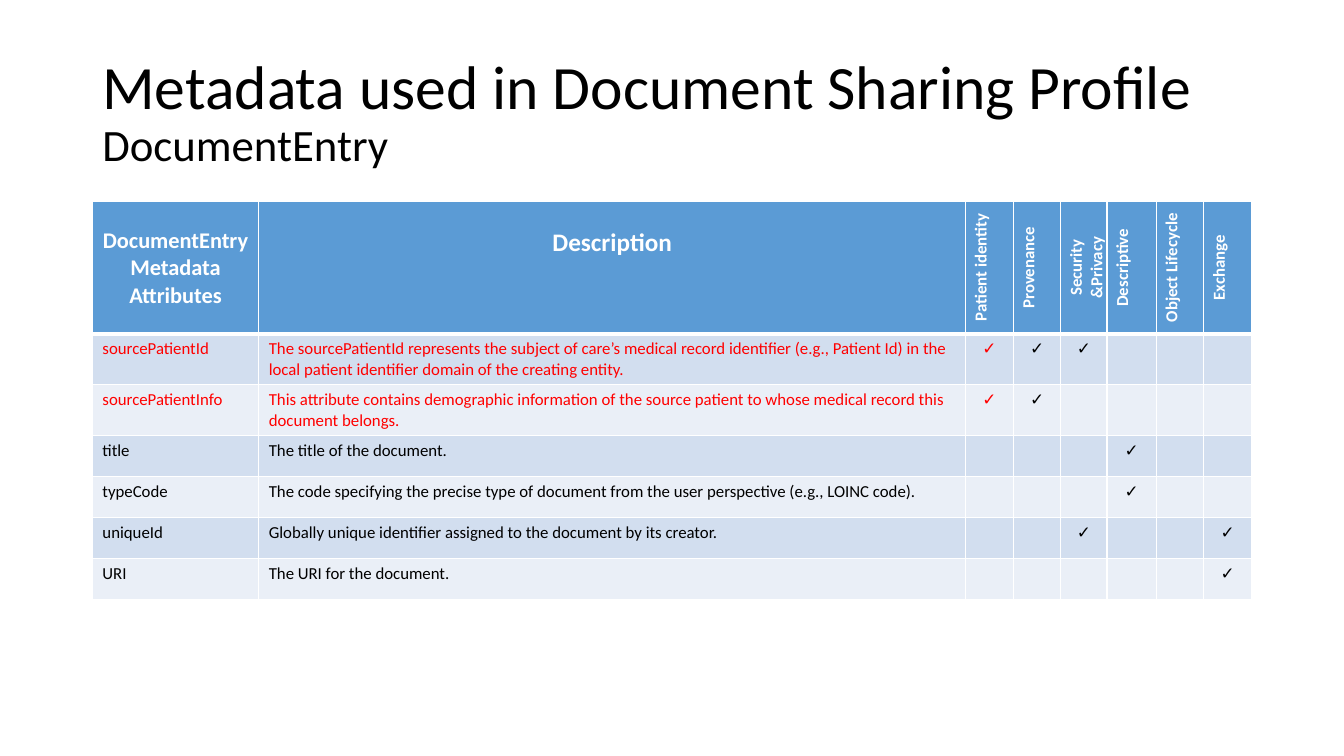
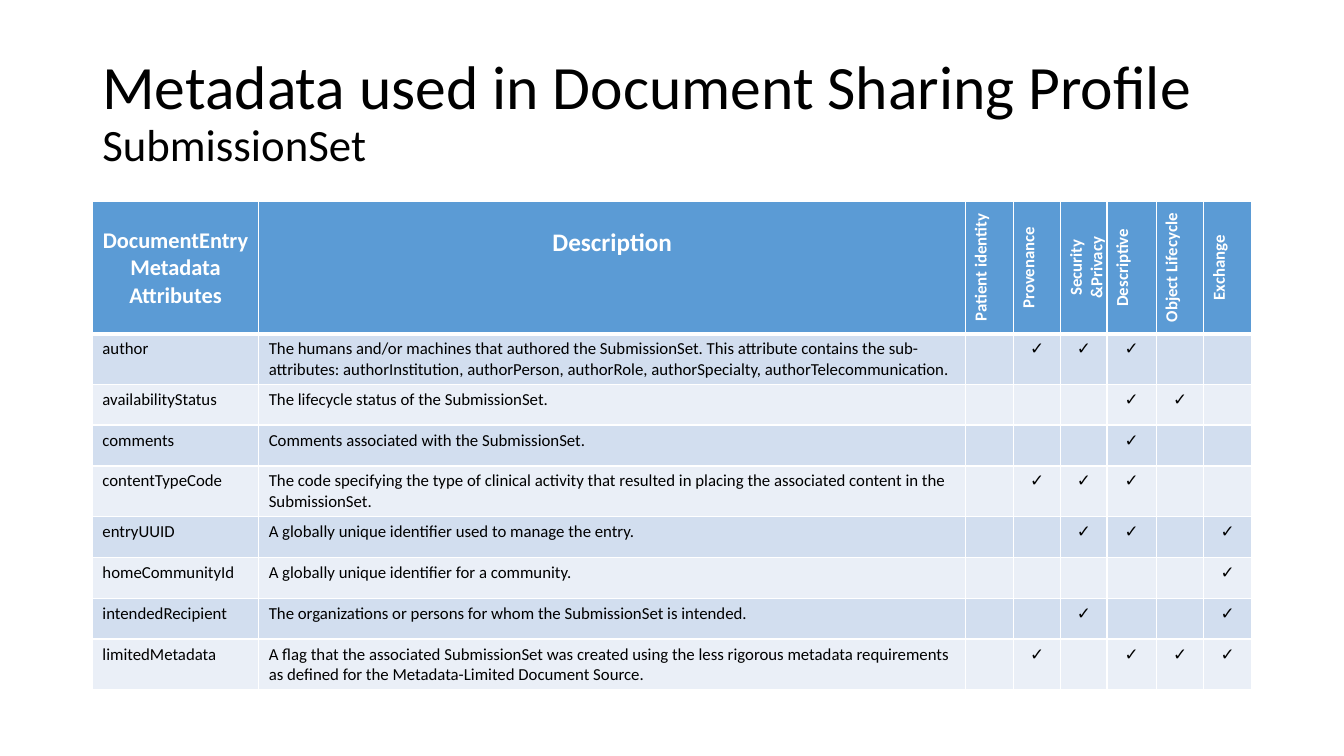
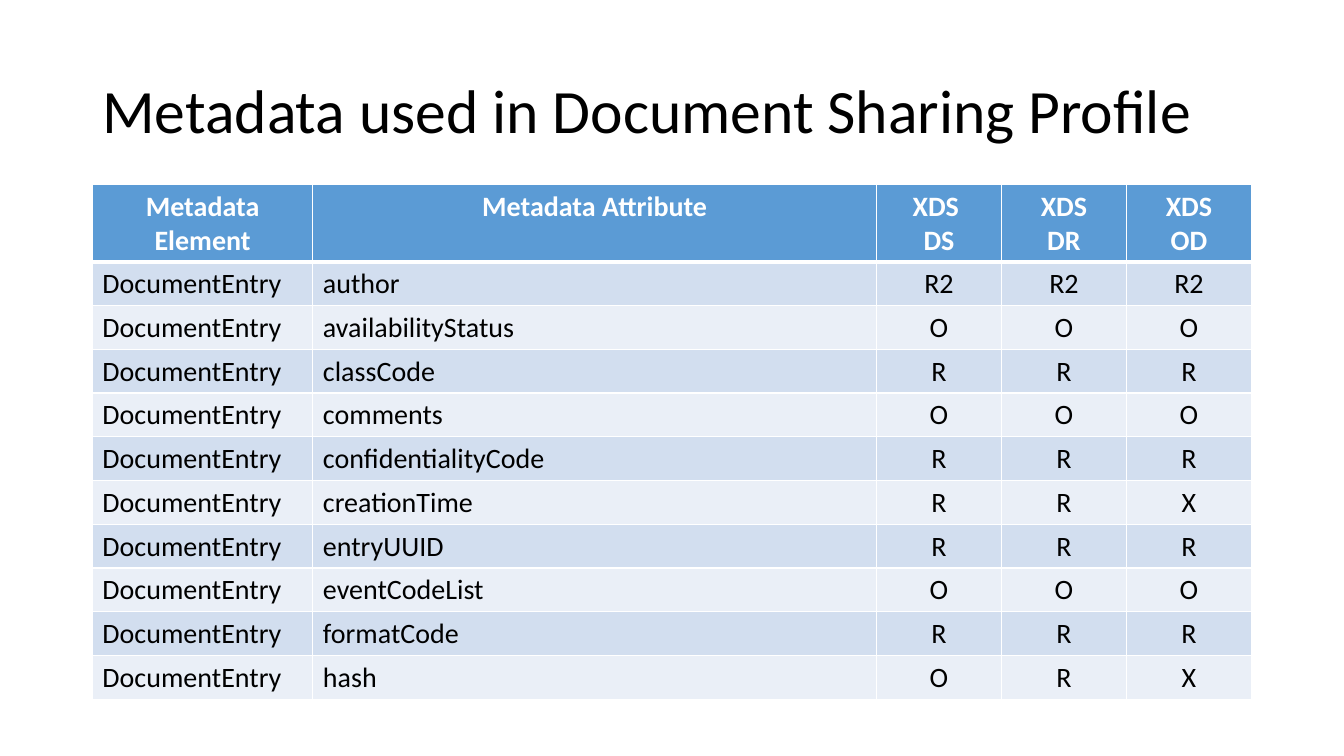
from dataclasses import dataclass

from lxml.etree import SubElement
from pptx import Presentation
from pptx.dml.color import RGBColor
from pptx.enum.text import MSO_ANCHOR, PP_ALIGN
from pptx.oxml.ns import qn
from pptx.slide import Slide
from pptx.table import _Cell
from pptx.text.text import _Paragraph
from pptx.util import Pt


@dataclass(frozen=True)
class Theme:
    font: str = "Calibri"
    black: str = "000000"
    white: str = "FFFFFF"
    red: str = "FF0000"
    header: str = "5B9BD5"
    bands: tuple[str, str] = ("D2DEEF", "EAEFF7")
    title: float = 44
    subtitle: float = 32
    description: float = 18
    name: float = 16
    detail: float = 12
    matrix: float = 20


@dataclass(frozen=True)
class Heading:
    text: str
    size: float
    top: float = 3.6
    vertical: bool = False


@dataclass(frozen=True)
class Attribute:
    name: str
    description: str
    uses: str  # one digit per category, 1 = used
    red_cells: int = 0

    def texts(self) -> list[str]:
        return [self.name, self.description] + ["✓" if use == "1" else "" for use in self.uses]


@dataclass(frozen=True)
class Grid:
    top: float
    widths: list[float]
    header_height: float
    headings: list[Heading]
    size: float


THEME = Theme()
PAGE_WIDTH, PAGE_HEIGHT = 960, 540
LEFT, WIDTH = 66, 828
TITLE_TOP, TITLE_HEIGHT = 28.8, 104.4
ROW_HEIGHT = 29.2
TEXT_COLUMNS = 2
TITLE = "Metadata used in Document Sharing Profile"

CATEGORIES = ["Patient identity", "Provenance", "Security &Privacy",
              "Descriptive", "Object Lifecycle", "Exchange"]

USE_GRID = Grid(
    top=144, widths=[118.8, 505, 34, 34, 33, 35.2, 34, 34], header_height=94 - 4,
    headings=[Heading("DocumentEntry Metadata Attributes", THEME.name, top=18.25),
              Heading("Description", THEME.description, top=18.25)]
    + [Heading(text, THEME.detail, vertical=True) for text in CATEGORIES],
    size=THEME.detail)

MATRIX_GRID = Grid(
    top=131.8, widths=[157.5, 402.6] + [89.3] * 3, header_height=46,
    headings=[Heading(text, THEME.matrix) for text in
              ("Metadata Element", "Metadata Attribute", "XDS \nDS", "XDS\nDR", "XDS\nOD")],
    size=THEME.matrix)

DOCUMENT_ENTRY = [
    Attribute("sourcePatientId", "The sourcePatientId represents the subject of care’s medical record identifier "
              "(e.g., Patient Id) in the local patient identifier domain of the creating entity.", "111000", 3),
    Attribute("sourcePatientInfo", "This attribute contains demographic information of the source patient "
              "to whose medical record this document belongs.", "110000", 3),
    Attribute("title", "The title of the document.", "000100"),
    Attribute("typeCode", "The code specifying the precise type of document from the user perspective "
              "(e.g., LOINC code).", "000100"),
    Attribute("uniqueId", "Globally unique identifier assigned to the document by its creator.", "001001"),
    Attribute("URI", "The URI for the document.", "000001"),
]

SUBMISSION_SET = [
    Attribute("author", "The humans and/or machines that authored the SubmissionSet. This attribute contains "
              "the sub-attributes: authorInstitution, authorPerson, authorRole, authorSpecialty, "
              "authorTelecommunication.", "011100"),
    Attribute("availabilityStatus", "The lifecycle status of the SubmissionSet.", "000110"),
    Attribute("comments", "Comments associated with the SubmissionSet.", "000100"),
    Attribute("contentTypeCode", "The code specifying the type of clinical activity that resulted in placing "
              "the associated content in the SubmissionSet.", "011100"),
    Attribute("entryUUID", "A globally unique identifier used to manage the entry.", "001101"),
    Attribute("homeCommunityId", "A globally unique identifier for a community.", "000001"),
    Attribute("intendedRecipient", "The organizations or persons for whom the SubmissionSet is intended.", "001001"),
    Attribute("limitedMetadata", "A flag that the associated SubmissionSet was created using the less rigorous "
              "metadata requirements as defined for the Metadata-Limited Document Source.", "010111"),
]

# Attribute name and its codes for DS, DR and OD
REQUIREMENTS = {
    "author": ("R2", "R2", "R2"),
    "availabilityStatus": "OOO",
    "classCode": "RRR",
    "comments": "OOO",
    "confidentialityCode": "RRR",
    "creationTime": "RRX",
    "entryUUID": "RRR",
    "eventCodeList": "OOO",
    "formatCode": "RRR",
    "hash": "ORX",
}


def add_text(para: _Paragraph, text: str, *, size: float, color: str = THEME.black, bold: bool = False) -> None:
    span = para.add_run()
    span.text = text
    span.font.name = THEME.font
    span.font.size = Pt(size)
    span.font.bold = bold
    span.font.color.rgb = RGBColor.from_string(color)


def add_title(page: Slide, subtitle: str = "") -> None:
    box = page.shapes.add_textbox(Pt(LEFT), Pt(TITLE_TOP), Pt(WIDTH), Pt(TITLE_HEIGHT))
    frame = box.text_frame
    frame.word_wrap = True
    frame.vertical_anchor = MSO_ANCHOR.MIDDLE
    para = frame.paragraphs[0]
    para.line_spacing = 0.9
    add_text(para, TITLE, size=THEME.title)
    if subtitle:
        para.add_line_break()
        add_text(para, subtitle, size=THEME.subtitle)


def style_cell(cell: _Cell, fill: str, *, bottom: float = 1) -> None:
    """Fill the cell and give it white borders."""
    cell.fill.solid()
    cell.fill.fore_color.rgb = RGBColor.from_string(fill)
    properties = cell._tc.get_or_add_tcPr()
    borders = {"a:lnL": 1, "a:lnR": 1, "a:lnT": 1, "a:lnB": bottom}
    for position, (tag, width) in enumerate(borders.items()):
        line = SubElement(properties, qn(tag), w=str(Pt(width)))
        SubElement(SubElement(line, qn("a:solidFill")), qn("a:srgbClr"), val=THEME.white)
        properties.insert(position, line)


def fill_heading(cell: _Cell, heading: Heading) -> None:
    style_cell(cell, THEME.header, bottom=3)
    cell.margin_top = Pt(heading.top)
    if heading.vertical:
        cell._tc.get_or_add_tcPr().set("vert", "vert270")
    frame = cell.text_frame
    for number, text in enumerate(heading.text.split("\n")):
        para = frame.add_paragraph() if number else frame.paragraphs[0]
        para.alignment = PP_ALIGN.CENTER
        add_text(para, text, size=heading.size, color=THEME.white, bold=True)


def add_grid(page: Slide, grid: Grid, rows: list[list[str]], red_cells: list[int]) -> None:
    height = grid.header_height + ROW_HEIGHT * len(rows)
    table = page.shapes.add_table(len(rows) + 1, len(grid.widths), Pt(LEFT), Pt(grid.top),
                                  Pt(WIDTH), Pt(height)).table
    for column, width in zip(table.columns, grid.widths):
        column.width = Pt(width)
    for number, row in enumerate(table.rows):
        row.height = Pt(ROW_HEIGHT if number else grid.header_height)

    # Header row
    for column, heading in enumerate(grid.headings):
        fill_heading(table.cell(0, column), heading)

    # Banded body rows
    for number, (texts, red_count) in enumerate(zip(rows, red_cells)):
        for column, text in enumerate(texts):
            cell = table.cell(number + 1, column)
            style_cell(cell, THEME.bands[number % 2], bottom=1)
            if text:
                para = cell.text_frame.paragraphs[0]
                para.alignment = PP_ALIGN.LEFT if column < TEXT_COLUMNS else PP_ALIGN.CENTER
                add_text(para, text, size=grid.size, color=THEME.red if column < red_count else THEME.black)


def main() -> None:
    deck = Presentation()
    deck.slide_width, deck.slide_height = Pt(PAGE_WIDTH), Pt(PAGE_HEIGHT)
    blank = deck.slide_layouts[6]

    # Attribute descriptions and categories
    for subtitle, attributes in (("DocumentEntry", DOCUMENT_ENTRY), ("SubmissionSet", SUBMISSION_SET)):
        page = deck.slides.add_slide(blank)
        add_grid(page, USE_GRID, [attribute.texts() for attribute in attributes],
                 [attribute.red_cells for attribute in attributes])
        add_title(page, subtitle)

    # Requirement matrix
    page = deck.slides.add_slide(blank)
    rows = [["DocumentEntry", name, *codes] for name, codes in REQUIREMENTS.items()]
    add_grid(page, MATRIX_GRID, rows, [0] * len(rows))
    add_title(page)

    deck.save("out.pptx")


if __name__ == "__main__":
    main()
